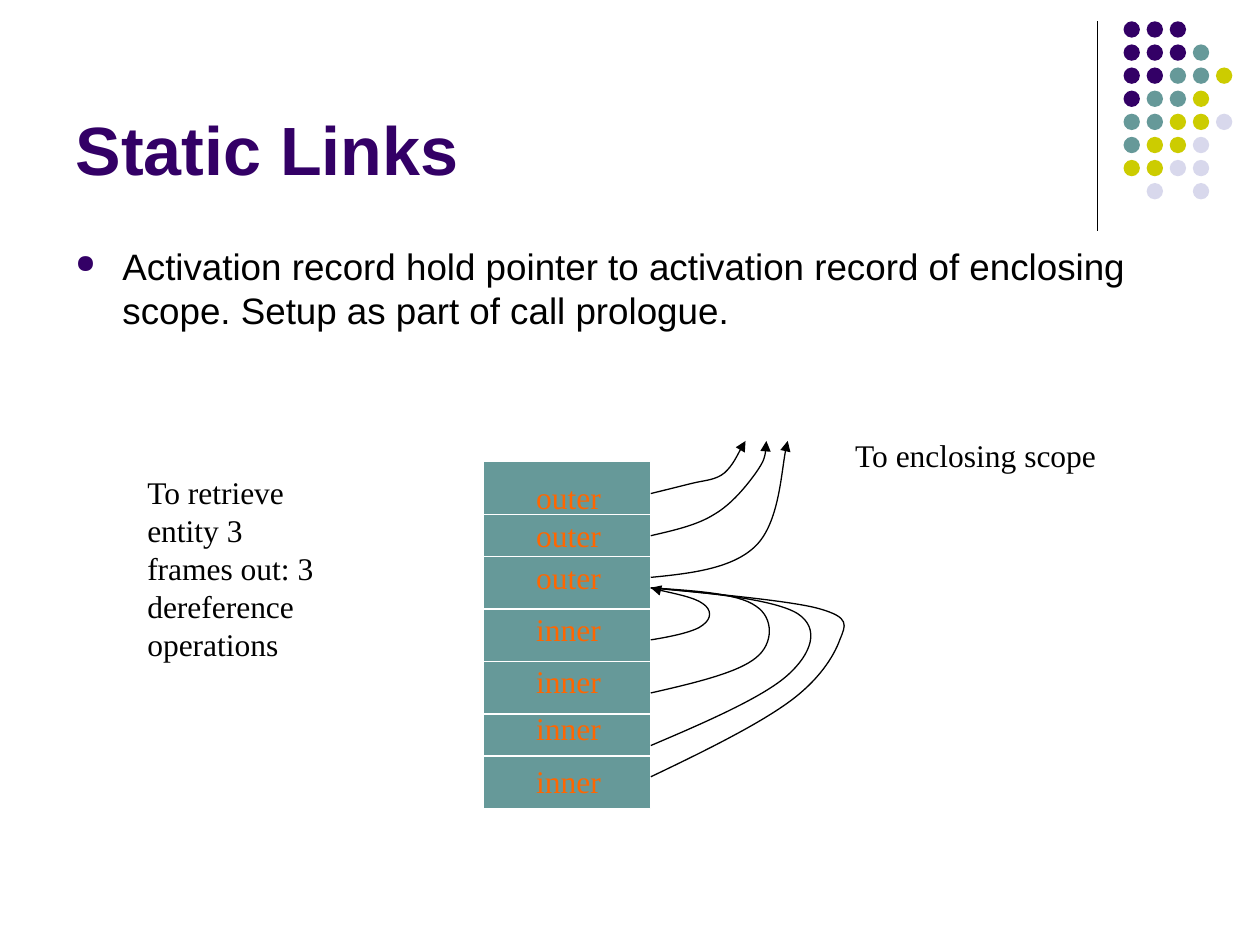
from itertools import accumulate

from lxml.etree import SubElement
from pptx import Presentation
from pptx.dml.color import RGBColor
from pptx.enum.shapes import MSO_CONNECTOR, MSO_SHAPE
from pptx.enum.text import MSO_ANCHOR, MSO_AUTO_SIZE, PP_ALIGN
from pptx.oxml.ns import qn
from pptx.util import Cm, Pt

COLORS = {
    "purple": "330066",
    "teal": "669999",
    "lime": "CCCC00",
    "lilac": "D8D8EC",
    "orange": "FF6600",
    "black": "000000",
    "white": "FFFFFF",
}
DOT_COLORS = {"P": "purple", "T": "teal", "Y": "lime", "L": "lilac"}
DOT_ROWS = ["PPP", "PPPT", "PPTTY", "PTTY", "TTYYL", "TYYL", "YYLL", " L L"]
DOT_PITCH = 3.26 / 7

STACK_LEFT, STACK_TOP, STACK_WIDTH, STACK_HEIGHT = 9.74, 9.31, 3.38, 6.99
STACK_RIGHT = STACK_LEFT + STACK_WIDTH
FRAME_UNITS = [5, 4, 5, 5, 5, 4, 5]
FRAME_LABELS = [
    ("outer", 9.52), ("outer", 10.28), ("outer", 11.12), ("inner", 12.17),
    ("inner", 13.23), ("inner", 14.17), ("inner", 15.24),
]

OUTER_FRAME = (STACK_RIGHT, 11.85)
INNER_LINKS = [
    (12.9, [(13.56, 12.83), (14.02, 12.73), (14.17, 12.6),
            (14.35, 12.47), (14.35, 12.29), (14.17, 12.17),
            (14, 12.04), (13.31, 11.91), OUTER_FRAME], True),
    (13.97, [(14, 13.77), (14.88, 13.56), (15.24, 13.26),
             (15.6, 12.98), (15.6, 12.45), (15.24, 12.22),
             (14.88, 11.96), (14, 11.91), OUTER_FRAME], False),
    (15.03, [(14.25, 14.55), (15.39, 14.05), (15.88, 13.61),
             (16.36, 13.18), (16.54, 12.67), (16.08, 12.37),
             (15.62, 12.09), (14.38, 11.96), OUTER_FRAME], False),
    (15.66, [(14.17, 15.16), (15.24, 14.63), (15.88, 14.17),
             (16.51, 13.72), (16.81, 13.23), (16.93, 12.9),
             (17.05, 12.6), (17.15, 12.45), (16.51, 12.27),
             (15.88, 12.09), (13.69, 11.91), OUTER_FRAME], False),
]
OUTER_LINKS = [
    (11.64, [(13.94, 11.56), (14.78, 11.46), (15.24, 11),
             (15.7, 10.54), (15.77, 9.25), (15.88, 8.89)], True),
    (10.8, [(13.59, 10.69), (14.05, 10.59), (14.4, 10.37),
            (14.76, 10.16), (15.06, 9.78), (15.24, 9.53),
            (15.42, 9.27), (15.45, 9.09), (15.45, 8.89)], True),
    (9.95, [(13.41, 9.88), (13.72, 9.8), (13.97, 9.74),
            (14.22, 9.68), (14.43, 9.68), (14.61, 9.53),
            (14.78, 9.37), (14.96, 8.99), (15.03, 8.89)], True),
]


def rgb(name):
    """Return the named colour."""
    return RGBColor.from_string(COLORS[name])


def style_font(paragraph, face, size, color, bold=False):
    """Set the font of a whole paragraph."""
    font = paragraph.font
    font.name, font.size, font.bold = face, Pt(size), bold
    font.color.rgb = rgb(color)


def add_line(slide, start, end, color):
    """Draw a thin straight line between two points."""
    rule = slide.shapes.add_connector(
        MSO_CONNECTOR.STRAIGHT, *(Cm(length) for length in start + end))
    rule.line.color.rgb = rgb(color)
    rule.line.width = Pt(0.75)
    SubElement(rule.element.spPr, qn("a:effectLst"))


def add_solid(slide, kind, box, fill, outline=None):
    """Draw a filled preset shape."""
    solid = slide.shapes.add_shape(kind, *(Cm(length) for length in box))
    solid.shadow.inherit = False
    solid.fill.solid()
    solid.fill.fore_color.rgb = rgb(fill)
    if outline:
        solid.line.color.rgb = rgb(outline)
        solid.line.width = Pt(0.75)
    else:
        solid.line.fill.background()


def add_text(slide, box, lines, size, color, face="Times New Roman"):
    """Add a wrapping text box and return its paragraphs."""
    frame = slide.shapes.add_textbox(*(Cm(length) for length in box)).text_frame
    frame.word_wrap = True
    frame.text = "\n".join(lines)
    for paragraph in frame.paragraphs:
        style_font(paragraph, face, size, color)
    return frame.paragraphs


def add_link(slide, start_top, controls, arrow):
    """Draw a chain of cubic curves from the right edge of the stack."""
    builder = slide.shapes.build_freeform(Cm(STACK_RIGHT), Cm(start_top))
    builder.add_line_segments([(Cm(x), Cm(y)) for x, y in controls], close=False)
    link = builder.convert_to_shape()
    link.shadow.inherit = False
    link.fill.background()
    link.line.color.rgb = rgb("black")
    link.line.width = Pt(0.75)
    properties = link.element.spPr
    segments = list(properties.iter(qn("a:lnTo")))
    for first, second, third in zip(*[iter(segments)] * 3):
        curve = SubElement(first.getparent(), qn("a:cubicBezTo"))
        for segment in (first, second, third):
            curve.append(segment[0])
            segment.getparent().remove(segment)
    if arrow:
        SubElement(properties.find(qn("a:ln")), qn("a:tailEnd"), type="triangle")


def add_dots(slide):
    """Draw the corner pattern of dots beside its vertical rule."""
    add_line(slide, (22.12, 0.43), (22.12, 4.65), "black")
    for row, letters in enumerate(DOT_ROWS):
        for column, letter in enumerate(letters):
            if letter in DOT_COLORS:
                box = (22.65 + column * DOT_PITCH, 0.43 + row * DOT_PITCH, 0.33, 0.33)
                add_solid(slide, MSO_SHAPE.OVAL, box, DOT_COLORS[letter])


def set_title(slide, words):
    """Place and format the title."""
    title = slide.shapes.title
    title.left, title.top, title.width, title.height = Cm(1.27), Cm(0.33), Cm(20.96), Cm(3.61)
    frame = title.text_frame
    frame.text = words
    frame.auto_size = MSO_AUTO_SIZE.NONE
    frame.vertical_anchor = MSO_ANCHOR.BOTTOM
    frame.paragraphs[0].alignment = PP_ALIGN.LEFT
    style_font(frame.paragraphs[0], "Arial", 39, "purple", bold=True)


def add_bullet_text(slide, words):
    """Add the bulleted statement under the title."""
    statement, = add_text(slide, (1.27, 4.78, 22.86, 12.24), [words], 21, "black", "Arial")
    properties = statement._p.get_or_add_pPr()
    properties.set("marL", str(Cm(0.95)))
    properties.set("indent", str(-Cm(0.95)))
    bullet_color = properties.makeelement(qn("a:buClr"), {})
    SubElement(bullet_color, qn("a:srgbClr"), val=COLORS["purple"])
    bullet_size = properties.makeelement(qn("a:buSzPct"), {"val": "70000"})
    bullet = properties.makeelement(qn("a:buChar"), {"char": "●"})
    for position, part in enumerate((bullet_color, bullet_size, bullet)):
        properties.insert(position, part)


def add_stack(slide):
    """Draw the stack of activation records with its labels."""
    add_solid(slide, MSO_SHAPE.RECTANGLE,
              (STACK_LEFT, STACK_TOP, STACK_WIDTH, STACK_HEIGHT), "teal", "white")
    for units in list(accumulate(FRAME_UNITS))[:-1]:
        top = STACK_TOP + units * STACK_HEIGHT / sum(FRAME_UNITS)
        add_line(slide, (STACK_LEFT, top), (STACK_RIGHT, top), "white")
    for label, top in FRAME_LABELS:
        add_text(slide, (10.56, top, 2, 1.02), [label], 18, "orange")


def main():
    """Build the slide and save it."""
    deck = Presentation()
    deck.slide_width, deck.slide_height = Cm(25.4), Cm(19.05)
    slide = deck.slides.add_slide(deck.slide_layouts[5])
    add_dots(slide)
    set_title(slide, "Static Links")
    add_bullet_text(slide, "Activation record hold pointer to activation record of "
                           "enclosing scope. Setup as part of call prologue.")
    add_stack(slide)
    add_text(slide, (16.99, 8.66, 5.87, 1.02), ["To enclosing scope"], 18, "black")
    add_text(slide, (2.72, 9.42, 4.2, 4.06),
             ["To retrieve", "entity 3 frames out: 3 dereference operations"], 18, "black")
    for start_top, controls, arrow in INNER_LINKS + OUTER_LINKS:
        add_link(slide, start_top, controls, arrow)
    deck.save("out.pptx")


if __name__ == "__main__":
    main()
